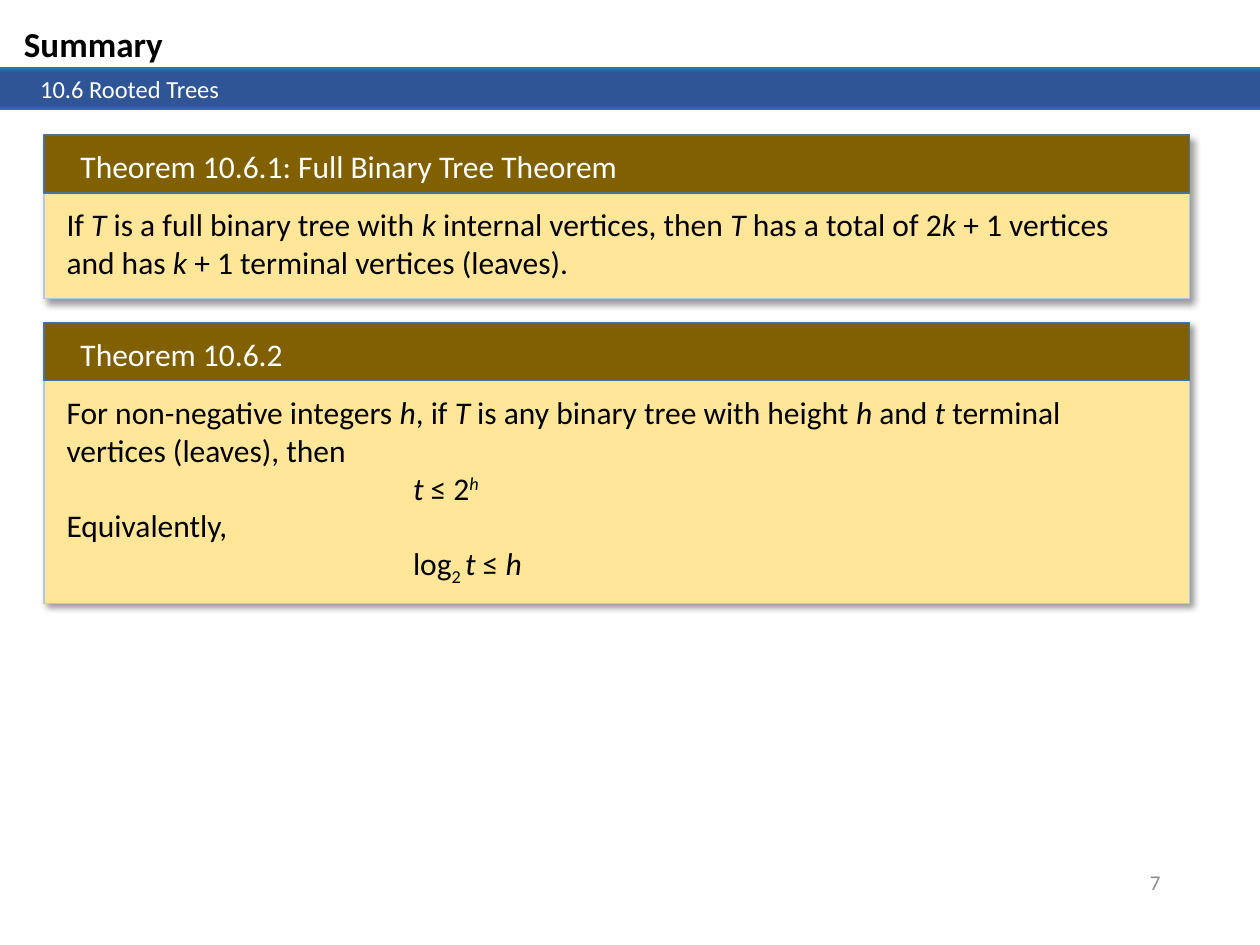
from lxml import etree
from pptx import Presentation
from pptx import util as u
from pptx.dml.color import RGBColor
from pptx.enum import shapes, text
from pptx.oxml import parse_xml
from pptx.oxml.ns import nsdecls, qn

BANNER_STOPS = [(0, "2E75B6"), (11, "2F5597"), (91, "2F5597"), (100, "2E75B6")]
# First character of a marked span: italic, italic superscript, subscript
MARKS = {"*": (True, 0), "^": (True, 30000), "_": (False, -25000)}
FORMULA_INDENT = 2.75


def color(value):
    return RGBColor.from_string(value)


def write(shape, lines, size, ink, bold=False, align=text.PP_ALIGN.LEFT,
          anchor=text.MSO_ANCHOR.TOP):
    """Write (indent, markup) lines; spans in the markup are divided by |."""
    frame = shape.text_frame
    layout = {"word_wrap": True, "auto_size": text.MSO_AUTO_SIZE.NONE,
              "vertical_anchor": anchor,
              "margin_left": u.Inches(0.1), "margin_right": u.Inches(0.1),
              "margin_top": u.Inches(0.05), "margin_bottom": u.Inches(0.05)}
    for name, value in layout.items():
        setattr(frame, name, value)
    for number, (indent, markup) in enumerate(lines):
        para = frame.add_paragraph() if number else frame.paragraphs[0]
        para.alignment = align
        if indent:
            properties = para._p.get_or_add_pPr()
            properties.set("marL", str(u.Inches(indent)))
            properties.set("indent", "0")
        for piece in markup.split("|"):
            italic, baseline = MARKS.get(piece[0], (False, 0))
            span = para.add_run()
            span.text = piece[1:] if piece[0] in MARKS else piece
            style = {"name": "Calibri", "size": u.Pt(size), "bold": bold, "italic": italic}
            for name, value in style.items():
                setattr(span.font, name, value)
            span.font.color.rgb = color(ink)
            if baseline:
                span._r.get_or_add_rPr().set("baseline", str(baseline))


def add_label(parent, box, lines, size, ink, **options):
    label = parent.add_textbox(*map(u.Inches, box))
    write(label, lines, size, ink, **options)


def add_rectangle(parent, box, fill=None, line=None):
    rectangle = parent.add_shape(shapes.MSO_SHAPE.RECTANGLE, *map(u.Inches, box))
    rectangle.shadow.inherit = False
    if fill:
        rectangle.fill.solid()
        rectangle.fill.fore_color.rgb = color(fill)
    if line:
        rectangle.line.color.rgb = color(line)
        rectangle.line.width = u.Pt(1)
    else:
        rectangle.line.fill.background()
    return rectangle


def add_gradient(shape, stops):
    """Fill a shape from top to bottom with any number of stops."""
    shape.fill.gradient()
    gradient = shape._element.spPr.find(qn("a:gradFill"))
    stop_list = gradient.find(qn("a:gsLst"))
    for stop in list(stop_list):
        stop_list.remove(stop)
    for percent, value in stops:
        stop = etree.SubElement(stop_list, qn("a:gs"), pos=str(percent * 1000))
        etree.SubElement(stop, qn("a:srgbClr"), val=value)
    shape.fill.gradient_angle = 270


def add_shadow(shape):
    effects = shape._element.spPr.find(qn("a:effectLst"))
    effects.append(parse_xml(
        f'<a:outerShdw {nsdecls("a")} blurRad="{u.Pt(4)}" dist="{u.Pt(3)}" '
        'dir="2700000" algn="tl" rotWithShape="0"><a:srgbClr val="000000">'
        '<a:alpha val="40000"/></a:srgbClr></a:outerShdw>'))


def add_header(page, box, title, section):
    left, top, width, height = box
    heading = page.shapes.title
    place = {"left": left + 0.09, "top": top + 0.13, "width": 2.69, "height": 0.44}
    for name, value in place.items():
        setattr(heading, name, u.Inches(value))
    write(heading, [(0, title)], 20, "000000", bold=True)

    # Two overlapping bands form the banner
    for offset, band_height in [(0.53, 0.3), (0.54, height - 0.54)]:
        band = add_rectangle(page.shapes, (left, top + offset, width, band_height))
        add_gradient(band, BANNER_STOPS)
    write(band, [(0.22, section)], 14, "FFFFFF")


def add_theorem(page, box, name, lines):
    left, top, width, height = box
    parts = page.shapes.add_group_shape().shapes
    add_shadow(add_rectangle(parts, box, "FFE699", "B4C7E7"))
    add_rectangle(parts, (left, top, width, 0.46), "806000", "43739E")
    add_label(parts, (left + 0.19, top + 0.05, 8.07, 0.4), [(0, name)], 18, "FFFFFF")
    add_label(parts, (left + 0.08, top + 0.51, 8.84, height - 0.6), lines, 18, "000000")


def main():
    deck = Presentation()
    deck.slide_width, deck.slide_height = u.Inches(10), u.Inches(7.5)
    page = deck.slides.add_slide(deck.slide_layouts[5])

    add_header(page, (0, 0, 10, 0.87), "Summary", "10.6 Rooted Trees")

    # Theorems
    add_theorem(page, (0.35, 1.07, 9.09, 1.3), "Theorem 10.6.1: Full Binary Tree Theorem", [
        (0, "If |*T| is a full binary tree with |*k| internal vertices, then |*T"
            "| has a total of 2|*k| + 1 vertices and has |*k| + 1 terminal vertices (leaves)."),
    ])
    add_theorem(page, (0.35, 2.56, 9.09, 2.23), "Theorem 10.6.2", [
        (0, "For non-negative integers |*h|, if |*T| is any binary tree with height "
            "|*h| and |*t| terminal vertices (leaves), then"),
        (FORMULA_INDENT, "*t |≤ 2|^h"),
        (0, "Equivalently,"),
        (FORMULA_INDENT, "log|_2 |*t| ≤ |*h"),
    ])

    # Page number
    add_label(page.shapes, (7.06, 6.8, 2.25, 0.4), [(0, "7")], 12, "8C8C8C",
              align=text.PP_ALIGN.RIGHT, anchor=text.MSO_ANCHOR.MIDDLE)
    deck.save("out.pptx")


if __name__ == "__main__":
    main()
